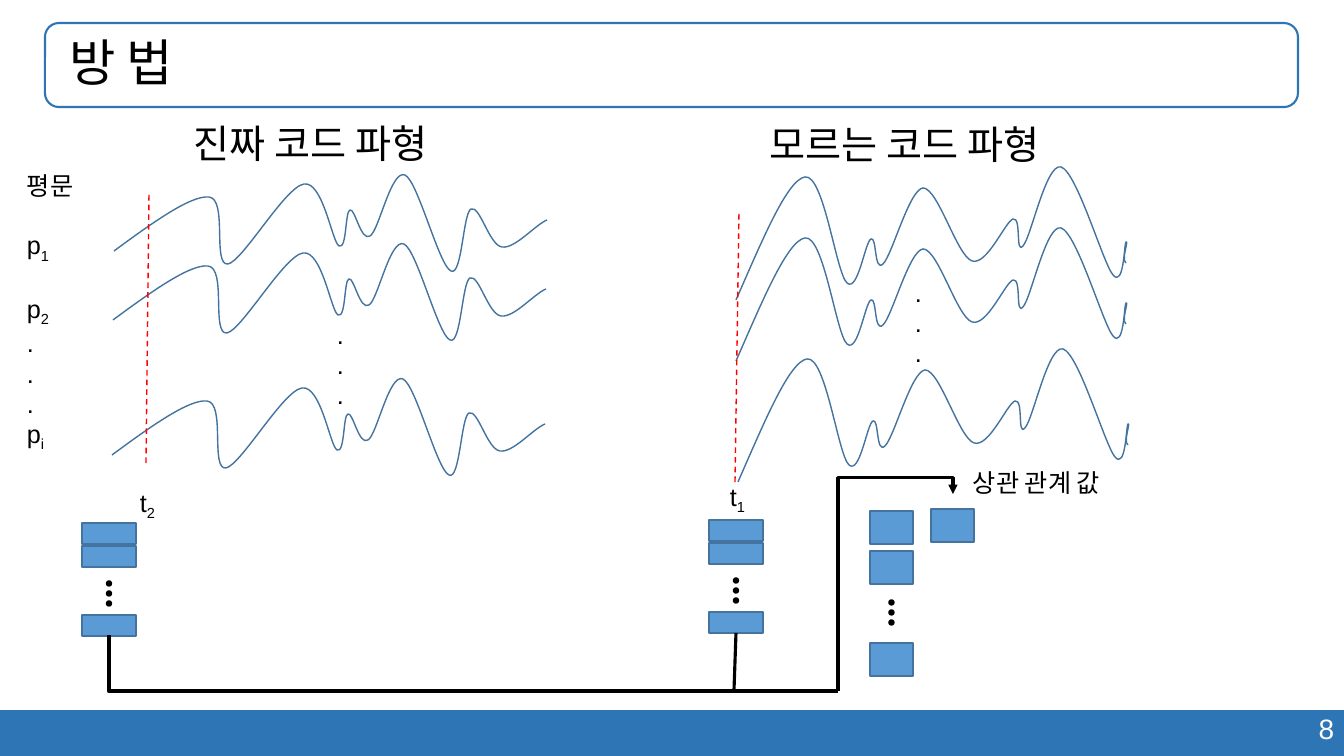
from lxml.etree import SubElement
from pptx import Presentation
from pptx.dml.color import RGBColor
from pptx.enum.dml import MSO_LINE
from pptx.enum.shapes import MSO_CONNECTOR as Link, MSO_SHAPE as Shape
from pptx.enum.text import MSO_ANCHOR, MSO_AUTO_SIZE, PP_ALIGN
from pptx.oxml.ns import qn
from pptx.util import Emu, Pt

BLACK = RGBColor(0x00, 0x00, 0x00)
WHITE = RGBColor(0xFF, 0xFF, 0xFF)
RED = RGBColor(0xFF, 0x00, 0x00)
BAND_BLUE = RGBColor(0x2E, 0x75, 0xB6)
CELL_BLUE = RGBColor(0x5B, 0x9B, 0xD5)
EDGE_BLUE = RGBColor(0x43, 0x73, 0x9E)
FONT = "Arial"
SCALE = 914400 / 100.8  # EMU in one px

# Content: a line is a tuple (text, subscript, points before)
TITLE = "방 법"
PAGE_NUMBER = "8"
HEADINGS = [("진짜 코드 파형", 184, 120, 284, 59, 28),
            ("모르는 코드 파형", 760, 121, 345, 59, 28),
            ("상관 관계 값", 963, 466, 284, 40, 18)]
PLAINTEXTS = [("평문", "", 0), ("p", "1", 21), ("p", "2", 21),
              (".", "", 0), (".", "", 0), (".", "", 0), ("p", "i", 0)]
ELLIPSIS = [(".", "", 0)] * 3
LABELS = [(PLAINTEXTS, 17, 165, 76, 315), (ELLIPSIS, 327, 314, 34, 102),
          (ELLIPSIS, 905, 272, 34, 102),
          ([("t", "2", 0)], 130, 482, 42, 40), ([("t", "1", 0)], 720, 476, 42, 40)]

# Waves: Bezier points of the top wave, then the shift of each wave
REAL_WAVE = [
    (114, 251), (152, 223), (191, 195), (209, 197), (228, 199), (212, 266), (228, 264),
    (243, 261), (285, 187), (304, 184), (323, 181), (332, 242), (339, 246),
    (347, 250), (345, 211), (350, 210), (355, 208), (361, 242), (370, 236),
    (379, 231), (391, 169), (405, 175), (418, 181), (439, 266), (451, 271),
    (462, 277), (463, 213), (471, 209), (480, 205), (489, 245), (502, 247),
    (515, 249), (535, 225), (547, 220)]
UNKNOWN_WAVE = [
    (736, 300), (762, 241), (787, 180), (805, 177), (824, 174), (836, 273), (847, 283),
    (858, 293), (865, 242), (871, 239), (877, 236), (874, 273), (883, 264),
    (892, 256), (909, 190), (923, 188), (938, 188), (957, 256), (972, 261),
    (987, 266), (1005, 222), (1013, 219), (1022, 217), (1015, 255), (1023, 246),
    (1031, 238), (1046, 163), (1061, 167), (1077, 172), (1103, 263), (1113, 275),
    (1124, 288), (1124, 245), (1126, 242), (1129, 240), (1121, 260), (1126, 263)]
WAVES = [(REAL_WAVE, [(0, 0), (-1, 69), (-2, 204)]),
         (UNKNOWN_WAVE, [(0, 0), (0, 61), (2, 182)])]
TIME_MARKS = [(149, 195, 146, 466), (739, 214, 735, 485)]

# Stacks: left, top, cell width, cell height, cell offsets, first dot offset
STACKS = [(82, 523, 54, 21, (0, 23, 92), 58),
          (709, 520, 54, 21, (0, 23, 92), 58),
          (870, 511, 43, 33, (0, 40, 132), 89)]
NEXT_RESULT = (931, 509, 43, 33)
DOT, DOT_STEP = 5, 10


def px(value):
    return Emu(round(value * SCALE))


def add_preset(kind, left, top, width, height, fill, line=None, points=1):
    shape = slide.shapes.add_shape(kind, px(left), px(top), px(width), px(height))
    shape.shadow.inherit = False
    if fill is None:
        shape.fill.background()
    else:
        shape.fill.solid()
        shape.fill.fore_color.rgb = fill
    if line is None:
        shape.line.fill.background()
    else:
        shape.line.color.rgb = line
        shape.line.width = Pt(points)
    return shape


def add_span(para, text, size, color=BLACK, subscript=False):
    span = para.add_run()
    span.text = text
    span.font.name, span.font.size = FONT, Pt(size)
    span.font.color.rgb = color
    if subscript:
        span.font._element.set("baseline", "-25000")


def add_text(lines, left, top, width, height, size=18, color=BLACK,
             align=PP_ALIGN.LEFT, spacing=None):
    box = slide.shapes.add_textbox(px(left), px(top), px(width), px(height))
    frame = box.text_frame
    frame.word_wrap = True
    for index, (text, subscript, before) in enumerate(lines):
        para = frame.add_paragraph() if index else frame.paragraphs[0]
        para.alignment = align
        if spacing:
            para.line_spacing = spacing
        if before:
            para.space_before = Pt(before)
        add_span(para, text, size, color)
        if subscript:
            add_span(para, subscript, size, color, True)


def add_wave(points, shift):
    start, *rest = [(x + shift[0], y + shift[1]) for x, y in points]
    builder = slide.shapes.build_freeform(*start, scale=SCALE)
    builder.add_line_segments(rest, close=False)
    wave = builder.convert_to_shape()
    wave.shadow.inherit = False
    wave.fill.background()
    wave.line.color.rgb = EDGE_BLUE
    wave.line.width = Pt(1)
    # Join every three points into one cubic curve
    steps = list(wave.element.iter(qn("a:lnTo")))
    outline = steps[0].getparent()
    for first in range(0, len(steps), 3):
        curve = SubElement(outline, qn("a:cubicBezTo"))
        for step in steps[first:first + 3]:
            curve.append(step[0])
            outline.remove(step)


def add_line(x1, y1, x2, y2, color, points, kind=Link.STRAIGHT):
    line = slide.shapes.add_connector(kind, px(x1), px(y1), px(x2), px(y2))
    line.line.color.rgb = color
    line.line.width = Pt(points)
    SubElement(line.element.spPr, qn("a:effectLst"))
    return line


def add_elbow(x1, y1, x2, y2, points, preset, flip=False, bend=None):
    """Bent connector turned by 270 degrees, so it leaves vertically."""
    wide, high = abs(y2 - y1), abs(x2 - x1)
    left, top = (x1 + x2 - wide) / 2, (y1 + y2 - high) / 2
    elbow = add_line(left, top, left + wide, top + high, BLACK, points, Link.ELBOW)
    frame = elbow.element.spPr.find(qn("a:xfrm"))
    frame.set("rot", str(270 * 60000))
    if flip:
        frame.set("flipH", "1")
    geometry = elbow.element.spPr.find(qn("a:prstGeom"))
    geometry.set("prst", preset)
    if bend:
        SubElement(geometry.find(qn("a:avLst")), qn("a:gd"), name="adj1", fmla=f"val {bend}")
    return elbow


deck = Presentation()
deck.slide_width, deck.slide_height = px(1344), px(756)
slide = deck.slides.add_slide(deck.slide_layouts[5])

# Footer band, page number and title frame
add_preset(Shape.RECTANGLE, 0, 710, 1344, 46, BAND_BLUE)
add_text([(PAGE_NUMBER, "", 0)], 951, 707, 393, 44, 20, WHITE, PP_ALIGN.RIGHT)
add_preset(Shape.ROUNDED_RECTANGLE, 45, 23, 1253, 84, None, BAND_BLUE, 1.5)

# Title
title = slide.shapes.title
title.left, title.top, title.width, title.height = px(45), px(23), px(1253), px(84)
title.text_frame.auto_size = MSO_AUTO_SIZE.NONE
title.text_frame.vertical_anchor = MSO_ANCHOR.MIDDLE
title.text_frame.margin_left = px(24)
title_para = title.text_frame.paragraphs[0]
title_para.alignment = PP_ALIGN.LEFT
title_para.line_spacing = 0.9
add_span(title_para, TITLE, 36)

# Waves, headings, labels and time marks
for points, shifts in WAVES:
    for shift in shifts:
        add_wave(points, shift)
for text, left, top, width, height, size in HEADINGS:
    add_text([(text, "", 0)], left, top, width, height, size, spacing=0.9)
for lines, *place in LABELS:
    add_text(lines, *place)
for mark in TIME_MARKS:
    add_line(*mark, RED, 1).line.dash_style = MSO_LINE.DASH

# Stacks of values
for left, top, width, height, offsets, dot_offset in STACKS:
    for offset in offsets:
        add_preset(Shape.RECTANGLE, left, top + offset, width, height, CELL_BLUE, EDGE_BLUE)
    for index in range(3):
        add_preset(Shape.OVAL, left + (width - DOT) / 2, top + dot_offset + index * DOT_STEP,
                   DOT, DOT, BLACK, BLACK)
add_preset(Shape.RECTANGLE, *NEXT_RESULT, CELL_BLUE, EDGE_BLUE)

# Links from both stacks to the correlation value
add_line(736, 633, 734, 691, BLACK, 2.25)
add_elbow(109, 635, 838, 691, 3, "bentConnector2", flip=True)
arrow = add_elbow(838, 691, 953, 494, 2.25, "bentConnector3", bend=108300)
SubElement(arrow.line._get_or_add_ln(), qn("a:tailEnd"), type="triangle")

deck.save("out.pptx")
